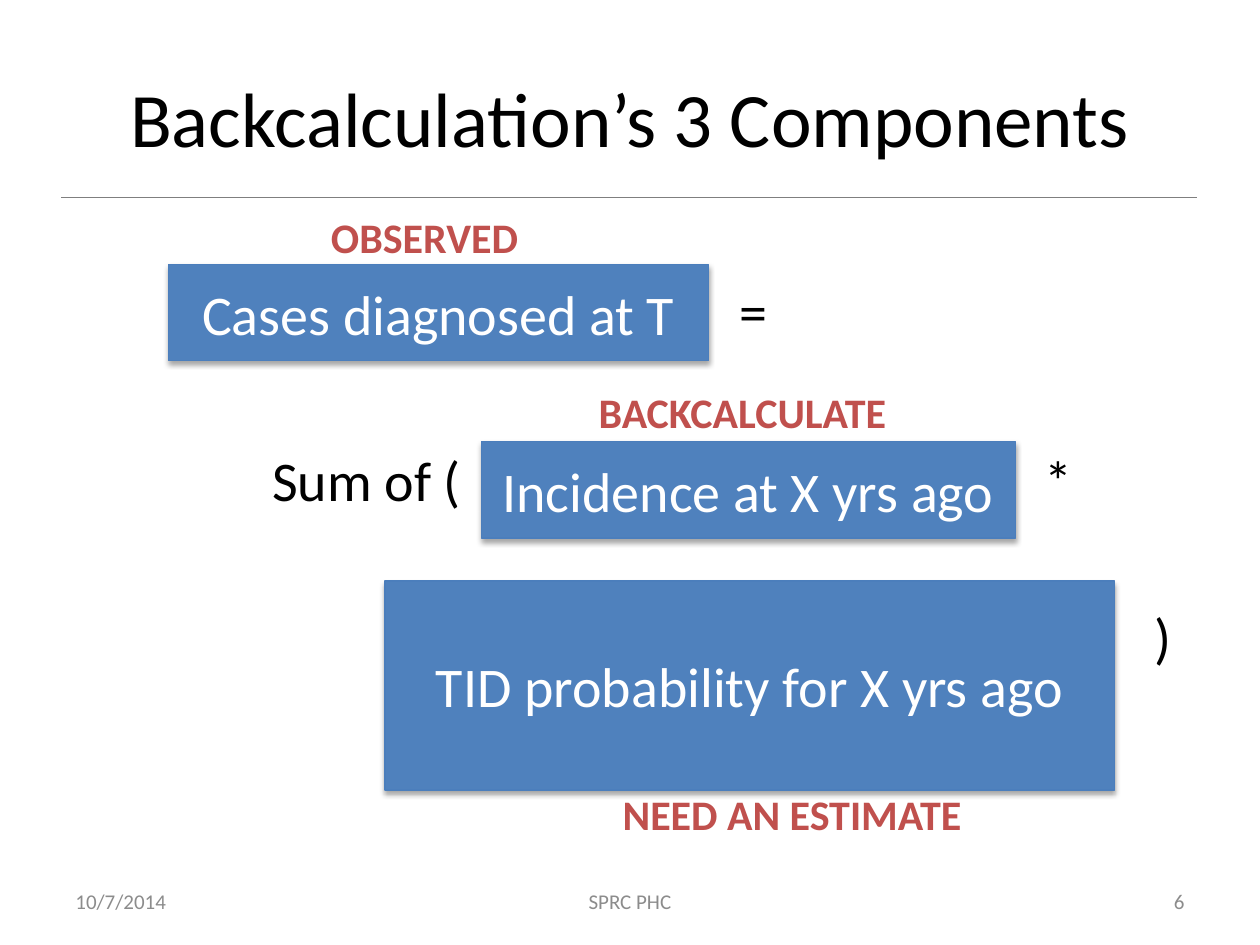
"""Build the slide on the three components of backcalculation."""
from dataclasses import dataclass

from lxml.etree import SubElement as Sub
from pptx import Presentation
from pptx.dml.color import RGBColor as Rgb
from pptx.enum.shapes import MSO_CONNECTOR as Link, MSO_SHAPE as Form
from pptx.enum.text import MSO_ANCHOR as Anchor, PP_ALIGN as Align
from pptx.oxml.ns import qn
from pptx.util import Pt


@dataclass(frozen=True)
class Theme:
    font: str = "Calibri"
    ink: str = "000000"
    white: str = "FFFFFF"
    fill: str = "4F81BD"
    edge: str = "4B7EBC"
    rule: str = "7F7F7F"
    note: str = "C0504D"
    foot: str = "8C8C8C"
    title: int = 44
    body: int = 32
    label: int = 24
    small: int = 12


class Deck:
    def __init__(self, theme):
        self.theme = theme
        self.prs = Presentation()
        self.prs.slide_width, self.prs.slide_height = Pt(720), Pt(540)
        self.slide = self.prs.slides.add_slide(self.prs.slide_layouts[1])

    def place(self, shape, box):
        shape.left, shape.top, shape.width, shape.height = map(Pt, box)

    def style(self, para, size, color, bold=False, align=Align.LEFT):
        font = para.font
        font.name, font.size, font.bold = self.theme.font, Pt(size), bold
        font.color.rgb = Rgb.from_string(color)
        para.alignment = align

    def title(self, text, box):
        shape = self.slide.shapes.title
        self.place(shape, box)
        shape.text_frame.text = text
        shape.text_frame.vertical_anchor = Anchor.MIDDLE
        self.style(shape.text_frame.paragraphs[0], self.theme.title,
                   self.theme.ink, align=Align.CENTER)

    def body(self, lines, box, gap):
        shape = self.slide.placeholders[1]
        self.place(shape, box)
        frame = shape.text_frame
        frame.text = "\n".join(text for text, _ in lines)
        for num, (para, (_, inset)) in enumerate(zip(frame.paragraphs, lines)):
            self.style(para, self.theme.body, self.theme.ink)
            para.space_before = Pt(gap if num else 0)
            props = para._p.get_or_add_pPr()
            props.set("marL", str(Pt(inset)))
            props.set("indent", "0")
            Sub(props, qn("a:buNone"))
            props.append(props.find(qn("a:defRPr")))

    def text(self, text, box, size, color, bold=False, align=Align.LEFT,
             anchor=Anchor.TOP, wrap=True):
        frame = self.slide.shapes.add_textbox(*map(Pt, box)).text_frame
        frame.text = text
        frame.word_wrap = wrap
        frame.vertical_anchor = anchor
        self.style(frame.paragraphs[0], size, color, bold, align)

    def block(self, text, box):
        shape = self.slide.shapes.add_shape(Form.RECTANGLE, *map(Pt, box))
        shape.fill.solid()
        shape.fill.fore_color.rgb = Rgb.from_string(self.theme.fill)
        shape.line.color.rgb = Rgb.from_string(self.theme.edge)
        shape.line.width = Pt(0.75)
        self.shade(shape)
        frame = shape.text_frame
        frame.text = text
        frame.word_wrap = True
        frame.vertical_anchor = Anchor.MIDDLE
        self.style(frame.paragraphs[0], self.theme.body, self.theme.white,
                   align=Align.CENTER)

    def shade(self, shape):
        shape.shadow.inherit = False
        effects = shape._element.spPr.find(qn("a:effectLst"))
        shadow = Sub(effects, qn("a:outerShdw"), blurRad=str(Pt(3.1)),
                     dist=str(Pt(1.8)), dir="5400000", rotWithShape="0")
        tone = Sub(shadow, qn("a:srgbClr"), val=self.theme.ink)
        Sub(tone, qn("a:alpha"), val="35000")

    def rule(self, left, right, top):
        line = self.slide.shapes.add_connector(
            Link.STRAIGHT, Pt(left), Pt(top), Pt(right), Pt(top))
        line.line.color.rgb = Rgb.from_string(self.theme.rule)
        line.line.width = Pt(0.75)
        Sub(line._element.spPr, qn("a:effectLst"))

    def save(self):
        self.prs.save("out.pptx")


def main():
    look = Theme()
    deck = Deck(look)
    deck.rule(35, 684, 113)
    deck.title("Backcalculation’s 3 Components", (36, 21.6, 648, 90))
    deck.body([("Sum of (", 72), (")", 576)], (76.3, 251, 643, 240), gap=51)

    for text, box in (
        ("Cases diagnosed at T", (96.3, 151.2, 308.7, 55)),
        ("Incidence at X yrs ago", (275, 252.5, 305.3, 55)),
        ("TID probability for X yrs ago", (220, 332, 417, 119.5)),
    ):
        deck.block(text, box)

    for text, box in (
        ("=", (415.5, 154.5, 128, 83)),
        ("*", (589.5, 251, 40, 46)),
    ):
        deck.text(text, box, look.body, look.ink)

    for text, box in (
        ("OBSERVED", (182, 117.5, 123, 36)),
        ("BACKCALCULATE", (335, 217.5, 184, 36)),
        ("NEED AN ESTIMATE", (348.7, 447, 212, 36)),
    ):
        deck.text(text, box, look.label, look.note, bold=True, wrap=False)

    for text, left, width, align in (
        ("10/7/2014", 36, 168, Align.LEFT),
        ("SPRC PHC", 246, 228, Align.CENTER),
        ("6", 516, 168, Align.RIGHT),
    ):
        deck.text(text, (left, 500.5, width, 28.8), look.small, look.foot,
                  align=align, anchor=Anchor.MIDDLE)
    deck.save()


if __name__ == "__main__":
    main()
